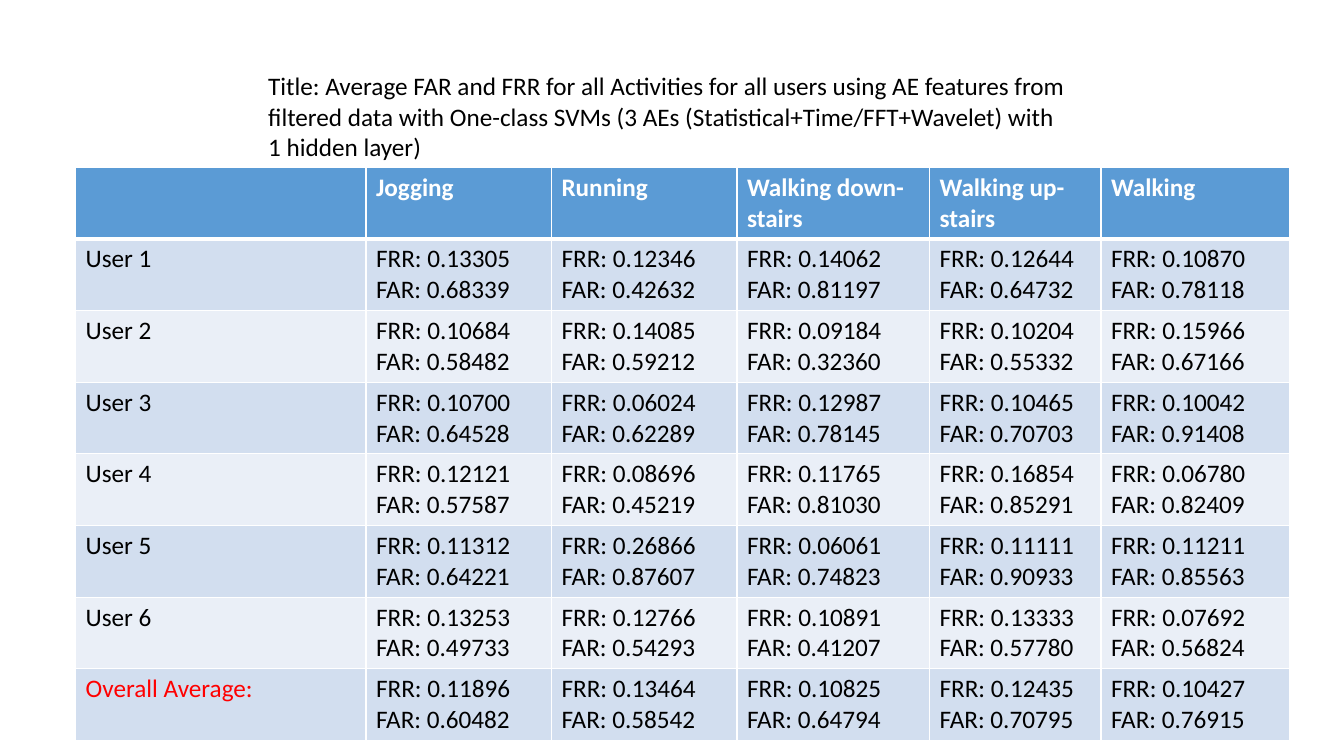
from lxml import etree
from pptx import Presentation
from pptx.dml.color import RGBColor
from pptx.enum.text import MSO_ANCHOR, MSO_AUTO_SIZE, PP_ALIGN
from pptx.oxml.ns import qn
from pptx.util import Inches, Pt

# Content
TITLE = ("Title: Average FAR and FRR for all Activities for all users using AE "
         "features from filtered data with One-class SVMs (3 AEs "
         "(Statistical+Time/FFT+Wavelet) with 1 hidden layer)")
ACTIVITIES = ["Jogging", "Running", "Walking down-stairs", "Walking up-stairs", "Walking"]
RATES = {  # label: FRR per activity, FAR per activity
    "User 1": ("0.13305 0.12346 0.14062 0.12644 0.10870",
               "0.68339 0.42632 0.81197 0.64732 0.78118"),
    "User 2": ("0.10684 0.14085 0.09184 0.10204 0.15966",
               "0.58482 0.59212 0.32360 0.55332 0.67166"),
    "User 3": ("0.10700 0.06024 0.12987 0.10465 0.10042",
               "0.64528 0.62289 0.78145 0.70703 0.91408"),
    "User 4": ("0.12121 0.08696 0.11765 0.16854 0.06780",
               "0.57587 0.45219 0.81030 0.85291 0.82409"),
    "User 5": ("0.11312 0.26866 0.06061 0.11111 0.11211",
               "0.64221 0.87607 0.74823 0.90933 0.85563"),
    "User 6": ("0.13253 0.12766 0.10891 0.13333 0.07692",
               "0.49733 0.54293 0.41207 0.57780 0.56824"),
    "Overall Average:": ("0.11896 0.13464 0.10825 0.12435 0.10427",
                         "0.60482 0.58542 0.64794 0.70795 0.76915"),
}

# Format
COL_WIDTHS = [2.88, 1.84, 1.84, 1.91, 1.7, 1.87]
ROW_HEIGHT = 0.67
WHITE, BLACK, RED = "FFFFFF", "000000", "FF0000"
HEADER_FILL, BANDS = "5B9BD5", ("D2DEEF", "EAEFF7")


def rgb(value):
    return RGBColor.from_string(value)


def write(tf, text, color=BLACK, bold=False):
    tf.text = text
    for p in tf.paragraphs:
        for r in p.runs:
            for name, value in dict(name="Calibri", size=Pt(18), bold=bold).items():
                setattr(r.font, name, value)
            r.font.color.rgb = rgb(color)


def set_borders(cell, **widths):
    tc_pr = cell._tc.get_or_add_tcPr()
    for i, side in enumerate("LRTB"):
        ln = etree.Element(qn(f"a:ln{side}"), w=str(Pt(widths.get(side, 1))))
        fill = etree.SubElement(ln, qn("a:solidFill"))
        etree.SubElement(fill, qn("a:srgbClr"), val=WHITE)
        tc_pr.insert(i, ln)


prs = Presentation()
prs.slide_width, prs.slide_height = Inches(13.33), Inches(7.5)
s = prs.slides.add_slide(prs.slide_layouts[5])

# Title
title = s.shapes.title
title.left, title.top, title.width, title.height = map(Inches, (2.56, 0.65, 8.13, 1.01))
tf = title.text_frame
for name, value in dict(word_wrap=True, auto_size=MSO_AUTO_SIZE.NONE,
                        vertical_anchor=MSO_ANCHOR.TOP).items():
    setattr(tf, name, value)
write(tf, TITLE)
tf.paragraphs[0].alignment = PP_ALIGN.LEFT

# Table rows: header, then one label and its FRR/FAR pairs per row
rows = [[""] + ACTIVITIES]
for label, (frr, far) in RATES.items():
    pairs = zip(frr.split(), far.split())
    rows.append([label] + [f"FRR: {a}\nFAR: {b}" for a, b in pairs])

table = s.shapes.add_table(len(rows), len(COL_WIDTHS), Inches(0.75), Inches(1.66),
                           Inches(sum(COL_WIDTHS)), Inches(ROW_HEIGHT * len(rows))).table
for col, width in zip(table.columns, COL_WIDTHS):
    col.width = Inches(width)

for i, row in enumerate(rows):
    table.rows[i].height = Inches(ROW_HEIGHT)
    for j, text in enumerate(row):
        cell = table.cell(i, j)
        header = i == 0
        average_label = i == len(rows) - 1 and j == 0
        color = WHITE if header else RED if average_label else BLACK
        write(cell.text_frame, text, color, header)
        set_borders(cell, B=3 if header else 1, T=3 if i == 1 else 1)
        cell.fill.solid()
        cell.fill.fore_color.rgb = rgb(HEADER_FILL if header else BANDS[(i - 1) % 2])

prs.save("out.pptx")
